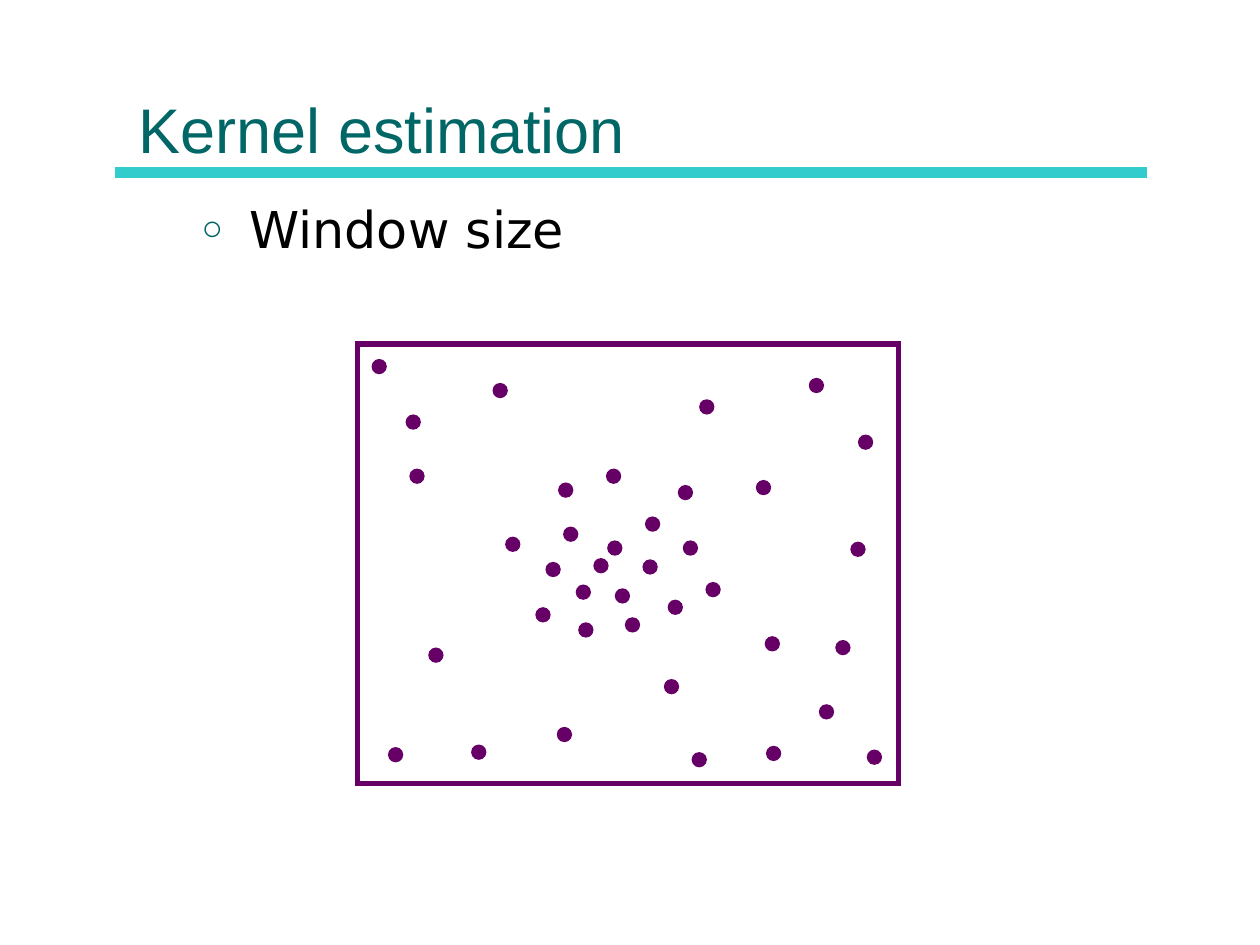
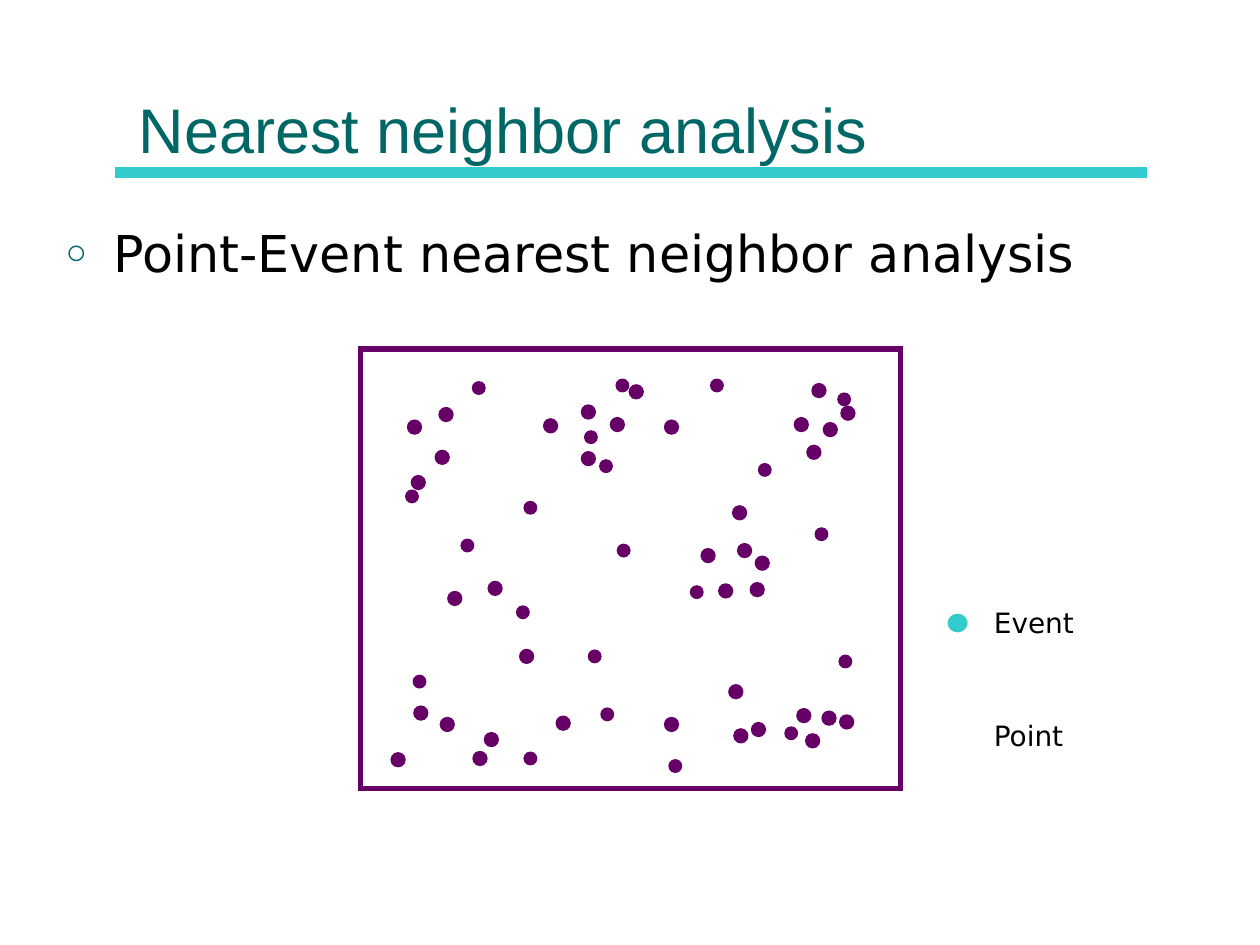
from lxml import etree
from pptx import Presentation
from pptx.dml.color import RGBColor
from pptx.enum.shapes import MSO_CONNECTOR, MSO_SHAPE
from pptx.enum.text import MSO_ANCHOR, MSO_AUTO_SIZE, PP_ALIGN
from pptx.oxml.ns import qn
from pptx.util import Inches, Pt

STRAIGHT = MSO_CONNECTOR.STRAIGHT
OVAL, RECTANGLE = MSO_SHAPE.OVAL, MSO_SHAPE.RECTANGLE
TOP, BOTTOM = MSO_ANCHOR.TOP, MSO_ANCHOR.BOTTOM
NO_FIT = MSO_AUTO_SIZE.NONE
LEFT = PP_ALIGN.LEFT

TITLE_FONT, BODY_FONT = "Arial", "DejaVu Sans"
TEAL, AQUA, PURPLE, BLACK, WHITE = "006666", "33CCCC", "660066", "000000", "FFFFFF"
TITLE_BOX = (1, 0.12, 8, 1.25)
RULE_LEFT, RULE_RIGHT, RULE_TOP = 0.91, 9.1, 1.37
MAP_SIZE = (4.29, 3.49)
DOT_SIZE = (0.1, 0.1)
MARKER_SIZE = (0.18, 0.17)
LABEL_SIZE = (0.9, 0.37)
EVENT_LINE, POINT_LINE = 1.5, 0.75

KERNEL_EVENTS = [
    (4.89, 4.68), (4.44, 3.84), (3.92, 3.05), (6.82, 3.46), (4.97, 4.91), (4.82, 3.73),
    (6.76, 4.31), (4.58, 4.65), (5.13, 4.11), (4.02, 4.27), (3.23, 3.3), (5.39, 3.86),
    (4.72, 4.44), (2.96, 2.86), (5.31, 4.77), (3.26, 3.73), (4.48, 4.19), (5.56, 3.18),
    (6.43, 3.01), (4.6, 4.95), (4.26, 4.83), (4.83, 4.3), (5.43, 4.3), (6.01, 3.82),
    (3.75, 5.92), (3.41, 5.15), (4.34, 4.47), (4.43, 5.78), (3.09, 5.94), (6.64, 5.09),
    (6.89, 5.96), (5.5, 5.98), (5.11, 4.45), (6.08, 5.06), (6.09, 5.93), (6.51, 5.6),
    (5.61, 4.63), (5.28, 5.4),
]
NEIGHBOR_EVENTS = [
    (6, 4.42), (4.32, 3.33), (3.49, 3.24), (6.68, 3.23), (5.96, 4.63), (5.28, 3.34),
    (3.46, 3.58), (5.57, 4.36), (4.62, 3.59), (3.88, 4.62), (3.24, 3.34), (3.56, 4.7),
    (5.86, 4.32), (5, 3.06), (4.62, 3.22), (3.27, 3.78), (4.85, 3.32), (6.31, 3.32),
    (6.45, 3.05), (5.71, 4.64), (4.13, 5.16), (5.82, 4.02), (6.41, 3.54), (6.54, 3.36),
    (3.76, 5.97), (3.29, 5.61), (3.5, 5.7), (3.85, 5.82), (3.11, 5.98), (5.97, 5.74),
    (6.67, 5.68), (5.83, 5.79), (6.33, 5.63), (5.79, 5.44), (6.4, 5.83), (6.53, 5.65),
    (4.42, 5.69), (5.28, 5.7),
]
NEIGHBOR_POINTS = [
    (4.76, 3.65), (4.89, 3.01), (3.75, 3.03), (6.65, 3.12), (4.64, 3.42), (4.67, 5.16),
    (6.23, 5.77), (6.02, 3.68), (4.16, 3.98), (4.9, 4.32), (3.22, 3.89), (5.31, 6.03),
    (5.64, 3.01), (4.1, 4.81), (5.48, 4.65), (4.77, 5.62), (6.66, 5.2), (6.47, 4.19),
    (3.66, 4.28), (4.16, 5.97), (3.28, 5.36),
]
SLIDES = [
    {"title": "Kernel estimation", "bullet": "Window size",
     "bullet_box": (1.5, 1.52, 8, 4.5), "map_corner": (2.84, 2.73),
     "events": KERNEL_EVENTS, "points": [], "markers": [], "labels": []},
    {"title": "Nearest neighbor analysis", "bullet": "Point-Event nearest neighbor analysis",
     "bullet_box": (0.42, 1.71, 9.13, 4.5), "map_corner": (2.86, 2.77),
     "events": NEIGHBOR_EVENTS, "points": NEIGHBOR_POINTS, "markers": [(7.51, 4.86)],
     "labels": [("Event", (7.79, 4.76)), ("Point", (7.79, 5.65))]},
]


def color(hex_code):
    return RGBColor.from_string(hex_code)


def inches(lengths):
    return [Inches(length) for length in lengths]


def place(holder, box):
    holder.left, holder.top, holder.width, holder.height = inches(box)


def write(paragraph, text, font_name, size, hex_code):
    paragraph.alignment = LEFT
    paragraph.space_before = Pt(0)
    run = paragraph.add_run()
    run.text = text
    run.font.name, run.font.size = font_name, Pt(size)
    run.font.color.rgb = color(hex_code)


def add_outline(slide, preset, corner, size, fill, line, width):
    shape = slide.shapes.add_shape(preset, *inches(corner + size))
    shape.shadow.inherit = False
    if fill:
        shape.fill.solid()
        shape.fill.fore_color.rgb = color(fill)
    else:
        shape.fill.background()
    shape.line.color.rgb = color(line)
    shape.line.width = Pt(width)
    outline = shape._element.spPr.find(qn("a:ln"))
    etree.SubElement(outline, qn("a:miter"), lim="800000")


def add_heading(slide, text):
    place(slide.shapes.title, TITLE_BOX)
    frame = slide.shapes.title.text_frame
    frame.auto_size, frame.vertical_anchor = NO_FIT, BOTTOM
    write(frame.paragraphs[0], text, TITLE_FONT, 36, TEAL)
    rule = slide.shapes.add_connector(
        STRAIGHT, *inches((RULE_LEFT, RULE_TOP, RULE_RIGHT, RULE_TOP)))
    rule.line.color.rgb = color(AQUA)
    rule.line.width = Pt(6)
    etree.SubElement(rule._element.spPr, qn("a:effectLst"))


def add_bullet(slide, text, box):
    body = slide.placeholders[1]
    place(body, box)
    frame = body.text_frame
    frame.auto_size, frame.vertical_anchor = NO_FIT, TOP
    paragraph = frame.paragraphs[0]
    properties = paragraph._p.get_or_add_pPr()
    properties.set("marL", str(Inches(0.38)))
    properties.set("indent", str(-Inches(0.38)))
    bullet_color = etree.SubElement(properties, qn("a:buClr"))
    etree.SubElement(bullet_color, qn("a:srgbClr"), val=TEAL)
    etree.SubElement(properties, qn("a:buSzPct"), val="70000")
    etree.SubElement(properties, qn("a:buChar"), char="○")
    write(paragraph, text, BODY_FONT, 29, BLACK)


def add_label(slide, text, corner):
    frame = slide.shapes.add_textbox(*inches(corner + LABEL_SIZE)).text_frame
    frame.word_wrap, frame.auto_size = True, NO_FIT
    write(frame.paragraphs[0], text, BODY_FONT, 16, BLACK)


def build_slide(deck, content):
    slide = deck.slides.add_slide(deck.slide_layouts[1])
    add_heading(slide, content["title"])
    add_bullet(slide, content["bullet"], content["bullet_box"])
    add_outline(slide, RECTANGLE, content["map_corner"], MAP_SIZE, None, PURPLE, 3)
    for dots, width in ((content["events"], EVENT_LINE), (content["points"], POINT_LINE)):
        for corner in dots:
            add_outline(slide, OVAL, corner, DOT_SIZE, PURPLE, PURPLE, width)
    for corner in content["markers"]:
        add_outline(slide, OVAL, corner, MARKER_SIZE, AQUA, WHITE, 1.5)
    for text, corner in content["labels"]:
        add_label(slide, text, corner)


def main():
    """Build the slides on kernel estimation and nearest neighbor analysis."""
    deck = Presentation()
    deck.slide_width, deck.slide_height = Inches(10), Inches(7.5)
    for content in SLIDES:
        build_slide(deck, content)
    deck.save("out.pptx")


if __name__ == "__main__":
    main()
